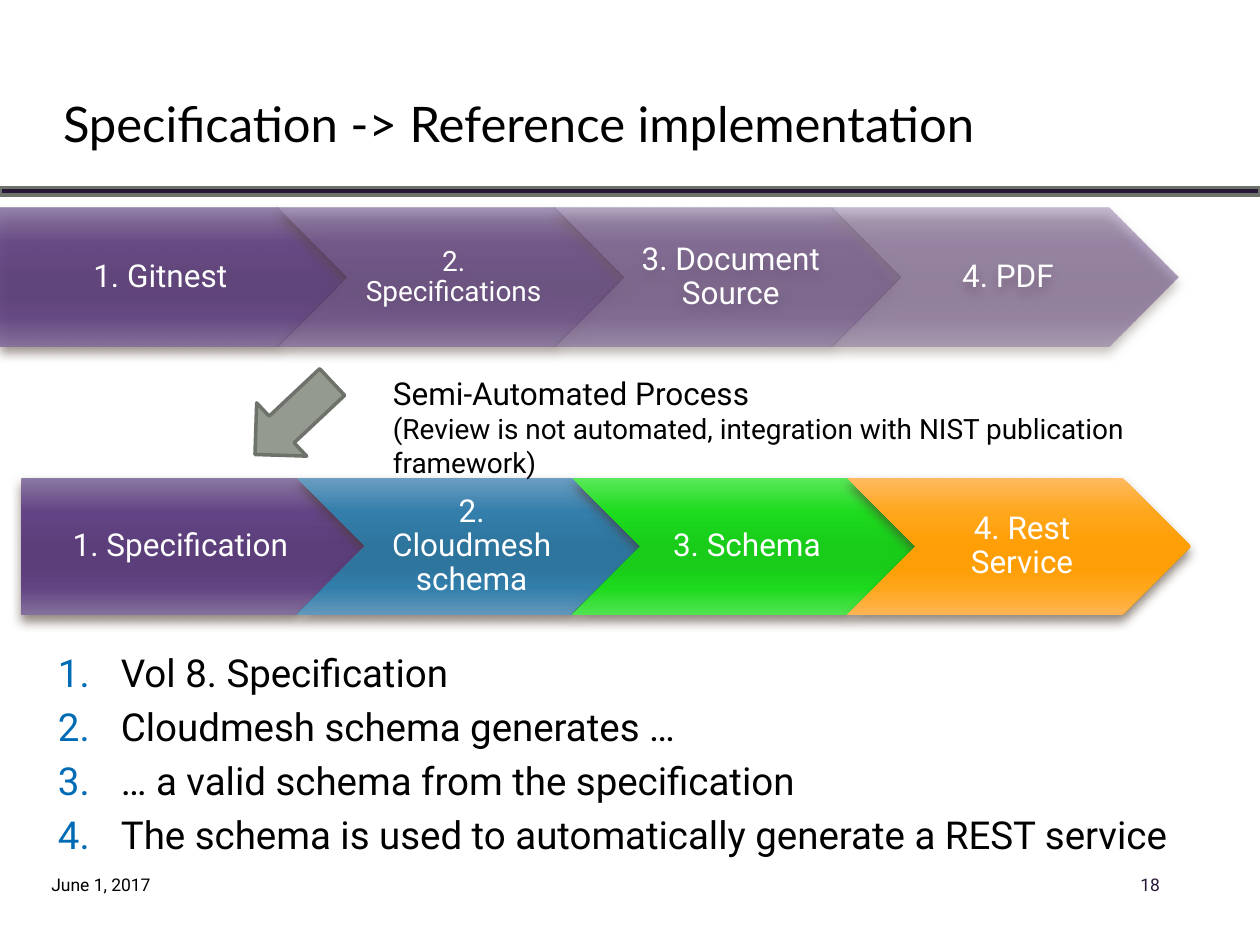
from dataclasses import dataclass

from lxml.etree import SubElement
from pptx import Presentation
from pptx.dml.color import RGBColor
from pptx.enum.shapes import MSO_SHAPE as Shape
from pptx.enum.text import MSO_ANCHOR as Anchor, MSO_AUTO_SIZE as AutoSize, PP_ALIGN as Align
from pptx.oxml import parse_xml
from pptx.oxml.ns import nsdecls, qn
from pptx.util import Inches, Pt


@dataclass(frozen=True)
class Theme:
    title_font: str = "Lato"
    body_font: str = "Roboto"
    text: str = "000000"
    light: str = "FFFFFF"
    dark: str = "281637"
    outline: str = "6D726B"
    arrow: str = "949A90"
    number: str = "006BB5"
    shadow: str = "4E3B30"
    title_size: int = 28
    list_size: int = 22
    label_size: int = 18
    small_size: int = 16
    footer_size: int = 10


@dataclass(frozen=True)
class Step:
    label: str
    gradient: tuple[str, ...]
    opacity: int = 100
    size: int = Theme.label_size


@dataclass(frozen=True)
class Process:
    left: float
    top: float
    step_width: float
    steps: tuple[Step, ...]


THEME = Theme()
GRADIENT_POSITIONS = (0, 25, 50, 65, 80, 100)
PURPLE = ("8C79A4", "634484", "5B3E7A", "5B3E7A", "624483", "85719D")
BLUE = ("6C9EC1", "337EAB", "2E759E", "2E759E", "327EAA", "6398BB")
GREEN = ("5AE95A", "1DDB1E", "19CC19", "19CC19", "1DDA1D", "51E451")
ORANGE = ("FFBB62", "FFA71C", "FF9E05", "FF9E05", "FFA61A", "FFB554")

PUBLISHING = Process(0, 1.65, 2.75, (
    Step("1. Gitnest", PURPLE, 90),
    Step("2. Specifications", PURPLE, 77, THEME.small_size),
    Step("3. Document Source", PURPLE, 63),
    Step("4. PDF", PURPLE, 50),
))
IMPLEMENTATION = Process(0.17, 3.79, 2.73, (
    Step("1. Specification", PURPLE),
    Step("2. Cloudmesh schema", BLUE),
    Step("3. Schema", GREEN),
    Step("4. Rest Service", ORANGE),
))
LIST_ITEMS = (
    "Vol 8. Specification",
    "Cloudmesh schema generates …",
    "… a valid schema from the specification",
    "The schema is used to automatically generate a REST service",
)


def style(paragraph, size: int, color: str = THEME.text, name: str = THEME.body_font) -> None:
    paragraph.font.size = Pt(size)
    paragraph.font.name = name
    paragraph.font.color.rgb = RGBColor.from_string(color)


def set_margins(frame, left: float = 0, top: float = 0, right: float = 0, bottom: float = 0) -> None:
    frame.margin_left, frame.margin_top = Inches(left), Inches(top)
    frame.margin_right, frame.margin_bottom = Inches(right), Inches(bottom)


def place(shape, left: float, top: float, width: float, height: float) -> None:
    shape.left, shape.top = Inches(left), Inches(top)
    shape.width, shape.height = Inches(width), Inches(height)


def add_solid(slide, kind, left: float, top: float, width: float, height: float, fill: str):
    shape = slide.shapes.add_shape(kind, Inches(left), Inches(top), Inches(width), Inches(height))
    shape.shadow.inherit = False
    shape.fill.solid()
    shape.fill.fore_color.rgb = RGBColor.from_string(fill)
    shape.line.color.rgb = RGBColor.from_string(THEME.outline)
    shape.line.width = Pt(2)
    return shape


def add_text(slide, left: float, top: float, width: float, height: float,
             lines: tuple[tuple[str, int], ...], color: str = THEME.text, wrap: bool = True):
    box = slide.shapes.add_textbox(Inches(left), Inches(top), Inches(width), Inches(height))
    frame = box.text_frame
    frame.word_wrap = wrap
    frame.text = "\n".join(text for text, _ in lines)
    for paragraph, (_, size) in zip(frame.paragraphs, lines):
        style(paragraph, size, color)
    return frame


def apply_gradient_and_shadow(shape, step: Step) -> None:
    stops = "".join(
        f'<a:gs pos="{position * 1000}"><a:srgbClr val="{color}">'
        f'<a:alpha val="{step.opacity * 1000}"/></a:srgbClr></a:gs>'
        for position, color in zip(GRADIENT_POSITIONS, step.gradient)
    )
    gradient = parse_xml(f'<a:gradFill {nsdecls("a")} rotWithShape="1"><a:gsLst>{stops}</a:gsLst>'
                         '<a:lin ang="5400000" scaled="0"/></a:gradFill>')
    properties = shape._element.spPr
    properties.find(qn("a:prstGeom")).addnext(gradient)
    shape.line.fill.background()
    shape.shadow.inherit = False
    properties.find(qn("a:effectLst")).append(parse_xml(
        f'<a:outerShdw {nsdecls("a")} blurRad="{Pt(6)}" dist="{Pt(4)}" dir="5400000" rotWithShape="0">'
        f'<a:srgbClr val="{THEME.shadow}"><a:alpha val="60000"/></a:srgbClr></a:outerShdw>'))


def add_process(slide, process: Process) -> None:
    """Draw a row of arrows, each overlapping the one before by a fifth of its width."""
    width, height = process.step_width, process.step_width * 0.4
    for index, step in enumerate(process.steps):
        kind = Shape.CHEVRON if index else Shape.PENTAGON
        left = process.left + index * width * 0.8
        shape = slide.shapes.add_shape(
            kind, Inches(left), Inches(process.top), Inches(width), Inches(height))
        apply_gradient_and_shadow(shape, step)
        frame = shape.text_frame
        frame.word_wrap = True
        frame.vertical_anchor = Anchor.MIDDLE
        set_margins(frame, 0.08 if index else 0.1, 0.05, 0.03, 0.05)
        frame.text = step.label
        paragraph = frame.paragraphs[0]
        paragraph.alignment = Align.CENTER
        paragraph.line_spacing = 0.9
        style(paragraph, step.size, THEME.light)


def fill_title(title) -> None:
    place(title, 0.5, 0.53, 8.98, 0.89)
    frame = title.text_frame
    frame.text = "Specification -> Reference implementation"
    frame.auto_size = AutoSize.NONE
    frame.vertical_anchor = Anchor.MIDDLE
    set_margins(frame)
    frame.paragraphs[0].alignment = Align.LEFT
    style(frame.paragraphs[0], THEME.title_size, name=THEME.title_font)


def fill_list(body) -> None:
    place(body, 0.46, 5.15, 8.98, 2.43)
    frame = body.text_frame
    frame.text = "\n".join(LIST_ITEMS)
    frame.auto_size = AutoSize.NONE
    set_margins(frame)
    for paragraph in frame.paragraphs:
        style(paragraph, THEME.list_size)
        properties = paragraph._p.get_or_add_pPr()
        properties.set("marL", str(Inches(0.5)))
        properties.set("indent", str(-Inches(0.5)))
        bullet_color = SubElement(properties, qn("a:buClr"))
        SubElement(bullet_color, qn("a:srgbClr"), val=THEME.number)
        SubElement(properties, qn("a:buFont"), typeface="+mj-lt")
        SubElement(properties, qn("a:buAutoNum"), type="arabicPeriod")
        # Bullet settings come before the run defaults
        properties.append(properties.find(qn("a:defRPr")))


def main() -> None:
    presentation = Presentation()
    presentation.slide_width, presentation.slide_height = Inches(10), Inches(7.5)
    slide = presentation.slides.add_slide(presentation.slide_layouts[1])

    # Title, rule and footer
    fill_title(slide.shapes.title)
    add_solid(slide, Shape.RECTANGLE, 0, 1.49, 10, 0.06, THEME.dark)
    add_text(slide, 0.31, 6.89, 1, 0.27, (("June 1, 2017", THEME.footer_size),), wrap=False)
    set_margins(add_text(slide, 9.05, 6.94, 0.4, 0.17, (("18", THEME.footer_size),), THEME.dark))

    # Two processes, linked by an arrow
    add_process(slide, IMPLEMENTATION)
    fill_list(slide.placeholders[1])
    add_process(slide, PUBLISHING)
    add_solid(slide, Shape.DOWN_ARROW, 2.04, 2.9, 0.58, 0.84, THEME.arrow).rotation = 46.8
    add_text(slide, 3.02, 2.92, 6.88, 0.67, (
        ("Semi-Automated Process", THEME.label_size),
        ("(Review is not automated, integration with NIST publication framework)", THEME.small_size),
    ))

    presentation.save("out.pptx")


if __name__ == "__main__":
    main()
